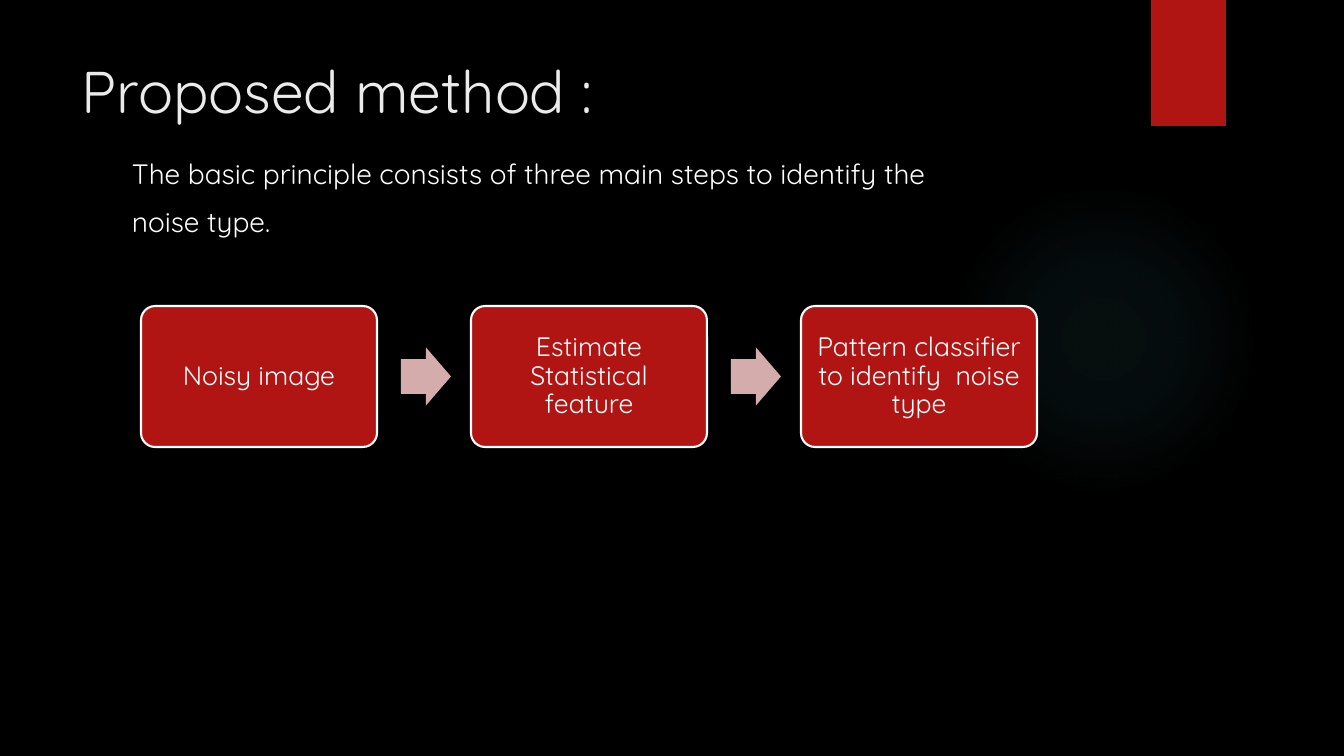
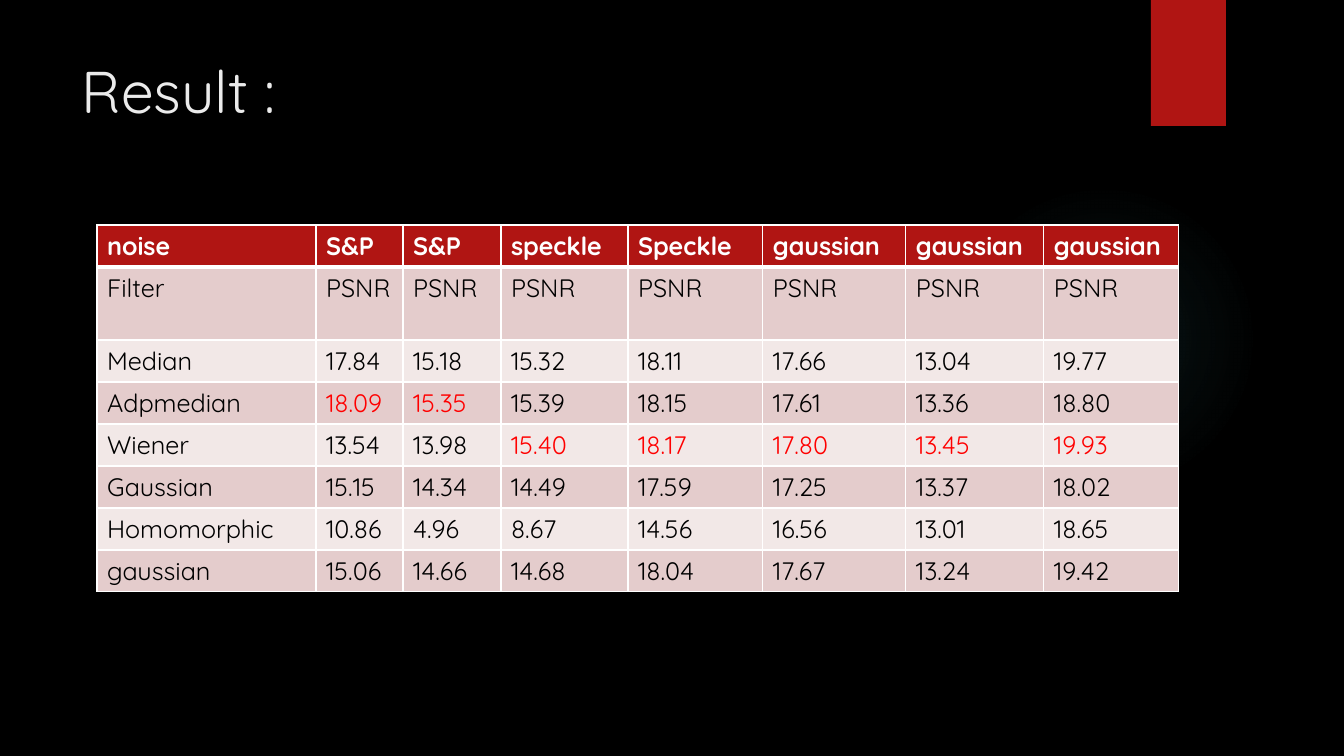
import lxml.etree
import pptx
import pptx.dml.color
import pptx.enum.shapes
import pptx.enum.text
import pptx.oxml.ns
import pptx.util

SHAPE = pptx.enum.shapes.MSO_SHAPE
ALIGN = pptx.enum.text.PP_ALIGN
ANCHOR = pptx.enum.text.MSO_ANCHOR


def px(n):
    return pptx.util.Emu(round(n * 12192000 / 1344))


def rgb(value):
    return pptx.dml.color.RGBColor.from_string(value)


def sub(parent, tag, **attrs):
    return lxml.etree.SubElement(parent, pptx.oxml.ns.qn("a:" + tag), attrs)


class Deck:
    font = "Quicksand"
    black, white, off_white = "000000", "FFFFFF", "EBEBEB"
    red, pink, glow = "B01513", "D4ACAB", "50B9C1"
    bands = ("E4CCCC", "F2E8E7")
    best = "FF0000"

    def __init__(self):
        self.prs = pptx.Presentation()
        self.prs.slide_width, self.prs.slide_height = px(1344), px(756)
        self.s = None

    def slide(self, title):
        self.s = self.prs.slides.add_slide(self.prs.slide_layouts[6])
        fill = self.s.background.fill
        fill.solid()
        fill.fore_color.rgb = rgb(self.black)
        self.halo(949, 184, 310)
        self.shape(SHAPE.RECTANGLE, 1151, 0, 75, 126, self.red)
        self.text(72, 50, 1037, 154, [title], 42, self.off_white)

    def shape(self, kind, x, y, w, h, color, adjustments=()):
        sp = self.s.shapes.add_shape(kind, px(x), px(y), px(w), px(h))
        sp.shadow.inherit = False
        sp.fill.solid()
        sp.fill.fore_color.rgb = rgb(color)
        sp.line.fill.background()
        for i, value in enumerate(adjustments):
            sp.adjustments[i] = value
        return sp

    def halo(self, x, y, size):
        sp = self.shape(SHAPE.OVAL, x, y, size, size, self.glow)
        sp.fill.gradient()
        grad = sp.fill._xPr.find(pptx.oxml.ns.qn("a:gradFill"))
        for child in list(grad):
            grad.remove(child)
        stops = sub(grad, "gsLst")
        for pos, alpha in ((0, 7), (36, 6), (69, 0)):
            stop = sub(stops, "gs", pos=str(pos * 1000))
            color = sub(stop, "srgbClr", val=self.glow)
            sub(color, "alpha", val=str(alpha * 1000))
        path = sub(grad, "path", path="circle")
        sub(path, "fillToRect", l="50000", t="50000", r="50000", b="50000")

    def run(self, p, text, size, color, bold=False):
        r = p.add_run()
        r.text = text
        r.font.name = self.font
        r.font.size = pptx.util.Pt(size)
        r.font.bold = bold
        r.font.color.rgb = rgb(color)

    def text(self, x, y, w, h, lines, size, color, before=0):
        tf = self.s.shapes.add_textbox(px(x), px(y), px(w), px(h)).text_frame
        tf.word_wrap = True
        for i, line in enumerate(lines):
            p = tf.add_paragraph() if i else tf.paragraphs[0]
            p.space_before = pptx.util.Pt(before)
            self.run(p, line, size, color)

    def step(self, x, y, w, h, text):
        sp = self.shape(SHAPE.ROUNDED_RECTANGLE, x, y, w, h, self.red, [0.1])
        sp.line.color.rgb = rgb(self.white)
        sp.line.width = pptx.util.Pt(1.5)
        tf = sp.text_frame
        tf.word_wrap = True
        tf.vertical_anchor = ANCHOR.MIDDLE
        tf.margin_left = tf.margin_right = px(8)
        tf.margin_top = tf.margin_bottom = px(8)
        p = tf.paragraphs[0]
        p.alignment = ALIGN.CENTER
        p.line_spacing = 0.9
        self.run(p, text, 19, self.white)

    def process(self, x, y, pitch, steps):
        w, h, arrow_w, arrow_h = 236, 141, 50, 58
        for i, text in enumerate(steps):
            left = x + i * pitch
            if i:
                self.shape(SHAPE.RIGHT_ARROW, left - 70, y + (h - arrow_h) / 2,
                           arrow_w, arrow_h, self.pink, [0.6, 0.5])
            self.step(left, y, w, h, text)

    def cell(self, cell, text, fill, color, bold, top, bottom):
        tc_pr = cell._tc.get_or_add_tcPr()
        for side, width in (("L", 1), ("R", 1), ("T", top), ("B", bottom)):
            ln = sub(tc_pr, "ln" + side, w=str(pptx.util.Pt(width)))
            sub(sub(ln, "solidFill"), "srgbClr", val=self.white)
        cell.fill.solid()
        cell.fill.fore_color.rgb = rgb(fill)
        self.run(cell.text_frame.paragraphs[0], text, 18, color, bold)

    def table(self, x, y, widths, heights, rows):
        frame = self.s.shapes.add_table(len(rows), len(widths), px(x), px(y),
                                        px(sum(widths)), px(sum(heights)))
        table = frame.table
        table.first_row = table.horz_banding = False
        for column, width in zip(table.columns, widths):
            column.width = px(width)
        for row, height in zip(table.rows, heights):
            row.height = px(height)
        top_scores = [max(map(float, scores)) for scores in list(zip(*rows[2:]))[1:]]
        for i, row in enumerate(rows):
            head = i == 0
            fill = self.red if head else self.bands[(i - 1) % 2]
            for j, text in enumerate(row):
                color = self.white if head else self.black
                if i > 1 and j and float(text) == top_scores[j - 1]:
                    color = self.best
                self.cell(table.cell(i, j), text, fill, color, head,
                          3 if i == 1 else 1, 3 if head else 1)


def main():
    deck = Deck()

    deck.slide("Proposed method :")
    deck.text(122, 152, 986, 132,
              ["The basic principle consists of three main steps to identify the",
               "noise type."], 20, deck.white, before=10)
    deck.process(141, 306, 330, ["Noisy image", "Estimate Statistical feature",
                                 "Pattern classifier to identify  noise type"])

    deck.slide("Result :")
    rows = [
        ["noise", "S&P", "S&P", "speckle", "Speckle", "gaussian", "gaussian", "gaussian"],
        ["Filter"] + ["PSNR"] * 7,
        ["Median", "17.84", "15.18", "15.32", "18.11", "17.66", "13.04", "19.77"],
        ["Adpmedian", "18.09", "15.35", "15.39", "18.15", "17.61", "13.36", "18.80"],
        ["Wiener", "13.54", "13.98", "15.40", "18.17", "17.80", "13.45", "19.93"],
        ["Gaussian", "15.15", "14.34", "14.49", "17.59", "17.25", "13.37", "18.02"],
        ["Homomorphic", "10.86", "4.96", "8.67", "14.56", "16.56", "13.01", "18.65"],
        ["gaussian", "15.06", "14.66", "14.68", "18.04", "17.67", "13.24", "19.42"],
    ]
    deck.table(97, 225, [219, 87, 98, 127, 135, 143, 138, 135],
               [42, 73] + [42] * 6, rows)

    deck.prs.save("out.pptx")


if __name__ == "__main__":
    main()
